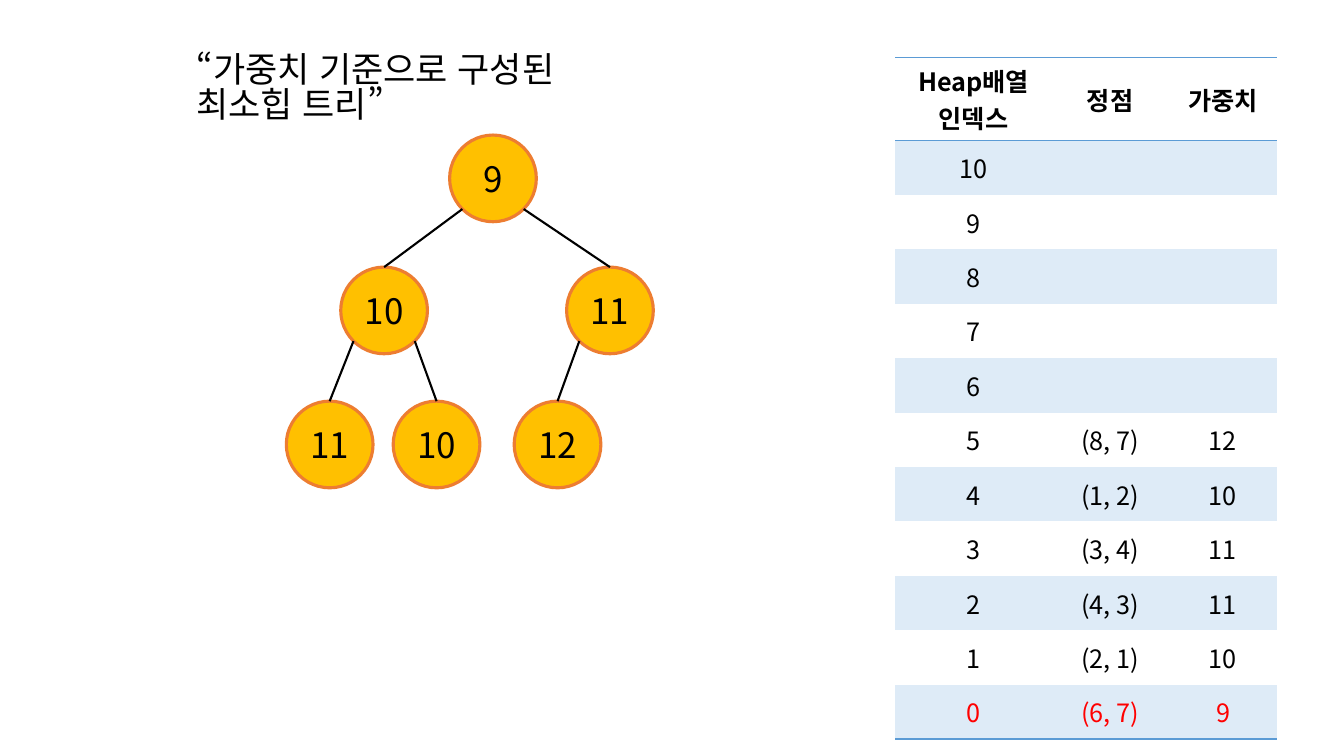
import math
from lxml import etree
from pptx import Presentation
from pptx import util as u
from pptx.dml.color import RGBColor
from pptx.enum import lang, shapes, text
from pptx.oxml.ns import qn

FONT = "Noto Sans CJK KR"
BLACK, RED, AMBER, ORANGE, BLUE, PALE = "000000", "FF0000", "FFC000", "ED7D31", "5B9BD5", "DEEBF7"
PLAIN_TABLE = "{2D5ABB26-0587-4C30-8999-92F81FD0307C}"

TITLE = "“가중치 기준으로 구성된 최소힙 트리”"
HEADER = ("Heap배열\n인덱스", "정점", "가중치")
HEAP = [("(6, 7)", 9), ("(2, 1)", 10), ("(4, 3)", 11), ("(3, 4)", 11), ("(1, 2)", 10), ("(8, 7)", 12)]
CAPACITY = 11
COLUMN_WIDTHS = (1.55, 1.16, 1.08)
HEADER_HEIGHT, ROW_HEIGHT = 0.66, 0.54
TABLE_LEFT, TABLE_TOP = 8.88, 0.57

DIAMETER = 0.86
LEVEL_TOPS = (1.34, 2.65, 3.98)
NODE_LEFTS = (4.46, 3.38, 5.62, 2.84, 3.9, 5.1)


def color(value):
    return RGBColor.from_string(value)


def write(frame, content, size, ink=BLACK, align=text.PP_ALIGN.CENTER, bold=False, spacing=1.0):
    frame.text = content
    for paragraph in frame.paragraphs:
        paragraph.alignment = align
        paragraph.line_spacing = spacing
        fonts = [run.font for run in paragraph.runs] or [paragraph.font]
        for font in fonts:
            formats = {"name": FONT, "size": u.Pt(size), "bold": bold, "language_id": lang.MSO_LANGUAGE_ID.KOREAN}
            for name, value in formats.items():
                setattr(font, name, value)
            font.color.rgb = color(ink)
        for run in paragraph.runs:
            latin = run._r.rPr.find(qn("a:latin"))
            east_asian = etree.Element(qn("a:ea"), typeface=FONT)
            latin.addnext(east_asian)


def add_border(cell, side):
    line = etree.SubElement(cell._tc.get_or_add_tcPr(), qn("a:" + side), w=str(u.Pt(1)))
    fill = etree.SubElement(line, qn("a:solidFill"))
    etree.SubElement(fill, qn("a:srgbClr"), val=BLUE)


def add_title(slide):
    title = slide.shapes.title
    box = {"left": 1.85, "top": 0.49, "width": 4.76, "height": 0.52}
    for name, value in box.items():
        setattr(title, name, u.Inches(value))
    frame = title.text_frame
    formats = {"word_wrap": True, "auto_size": text.MSO_AUTO_SIZE.NONE, "vertical_anchor": text.MSO_ANCHOR.TOP}
    for name, value in formats.items():
        setattr(frame, name, value)
    write(frame, TITLE, 25, align=text.PP_ALIGN.LEFT, spacing=0.83)


def add_heap_table(slide):
    rows = [HEADER]
    for index in reversed(range(CAPACITY)):
        vertex, weight = HEAP[index] if index < len(HEAP) else ("", "")
        rows.append((index, vertex, weight))
    height = HEADER_HEIGHT + CAPACITY * ROW_HEIGHT
    frame = slide.shapes.add_table(
        len(rows), len(HEADER), u.Inches(TABLE_LEFT), u.Inches(TABLE_TOP),
        u.Inches(sum(COLUMN_WIDTHS)), u.Inches(height))
    table = frame.table
    table._tbl.tblPr.find(qn("a:tableStyleId")).text = PLAIN_TABLE
    for column, width in zip(table.columns, COLUMN_WIDTHS):
        column.width = u.Inches(width)
    for number, values in enumerate(rows):
        table.rows[number].height = u.Inches(ROW_HEIGHT if number else HEADER_HEIGHT)
        for cell, value in zip(table.rows[number].cells, values):
            ink = RED if number == CAPACITY else BLACK
            write(cell.text_frame, str(value), 18, ink, bold=number == 0)
            cell.vertical_anchor = text.MSO_ANCHOR.MIDDLE
            if number == 0:
                add_border(cell, "lnT")
            if number in (0, CAPACITY):
                add_border(cell, "lnB")
            if number % 2:
                cell.fill.solid()
                cell.fill.fore_color.rgb = color(PALE)
            else:
                cell.fill.background()


def node_corner(index):
    level = int(math.log2(index + 1))
    return NODE_LEFTS[index], LEVEL_TOPS[level]


def add_node(slide, index, weight):
    left, top = node_corner(index)
    node = slide.shapes.add_shape(
        shapes.MSO_SHAPE.OVAL, u.Inches(left), u.Inches(top), u.Inches(DIAMETER), u.Inches(DIAMETER))
    node.shadow.inherit = False
    node.fill.solid()
    node.fill.fore_color.rgb = color(AMBER)
    node.line.color.rgb = color(ORANGE)
    node.line.width = u.Pt(2.25)
    node.text_frame.vertical_anchor = text.MSO_ANCHOR.MIDDLE
    write(node.text_frame, str(weight), 25)


def add_edge(slide, child):
    parent_left, parent_top = node_corner((child - 1) // 2)
    child_left, child_top = node_corner(child)
    radius = DIAMETER / 2
    reach = radius * math.sqrt(0.5)
    side = -1 if child % 2 else 1
    points = (parent_left + radius + side * reach, parent_top + radius + reach, child_left + radius, child_top)
    edge = slide.shapes.add_connector(shapes.MSO_CONNECTOR.STRAIGHT, *[u.Inches(point) for point in points])
    edge.line.color.rgb = color(BLACK)
    edge.line.width = u.Pt(1.5)
    etree.SubElement(edge._element.spPr, qn("a:effectLst"))


def main():
    presentation = Presentation()
    presentation.slide_width, presentation.slide_height = u.Inches(13.33), u.Inches(7.5)
    slide = presentation.slides.add_slide(presentation.slide_layouts[5])
    add_heap_table(slide)
    add_title(slide)
    for index, (vertex, weight) in enumerate(HEAP):
        add_node(slide, index, weight)
        if index:
            add_edge(slide, index)
    presentation.save("out.pptx")


if __name__ == "__main__":
    main()
